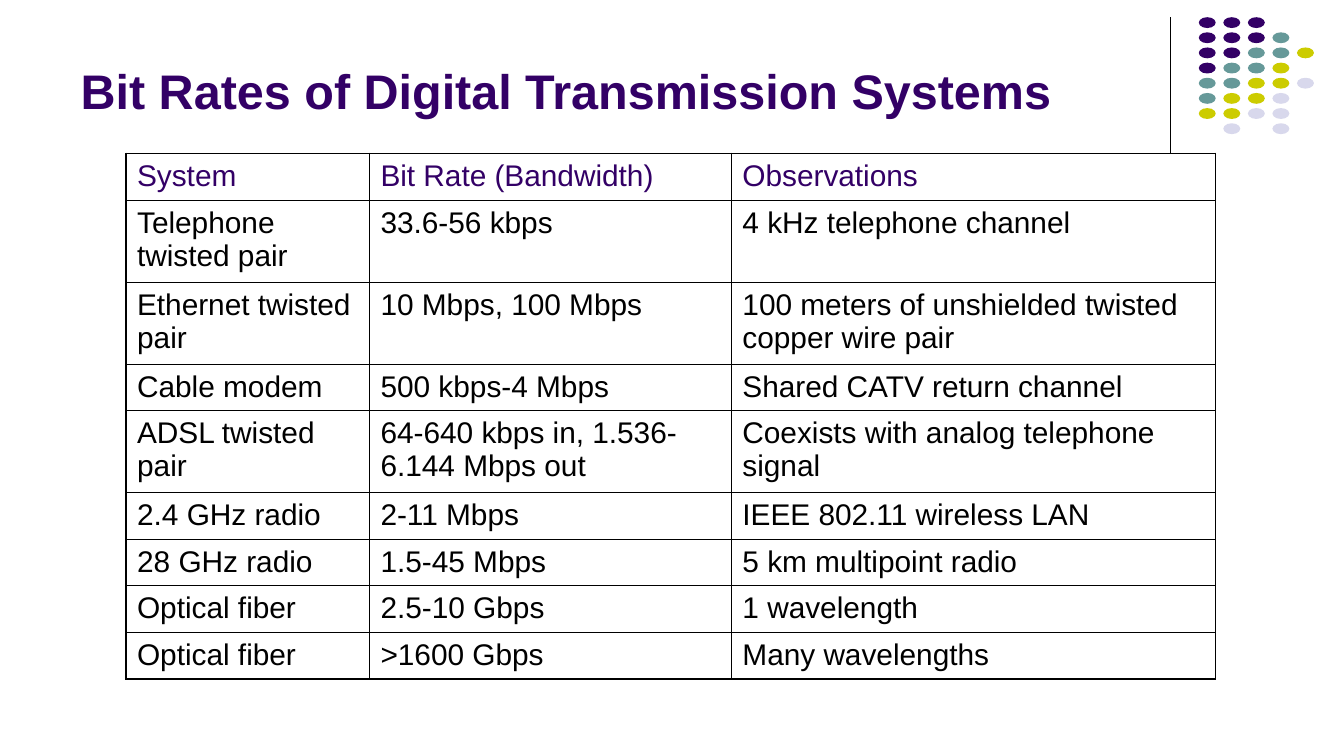
from lxml.etree import SubElement
from pptx import Presentation
from pptx.dml.color import RGBColor
from pptx.enum.shapes import MSO_CONNECTOR as Connector, MSO_SHAPE as Shape
from pptx.enum.text import MSO_ANCHOR as Anchor, MSO_AUTO_SIZE as AutoSize, PP_ALIGN as Align
from pptx.oxml import parse_xml
from pptx.oxml.ns import nsdecls, qn
from pptx.util import Pt

COLORS = {
    "purple": "330066",
    "teal": "669999",
    "olive": "CCCC00",
    "lavender": "D8D8EC",
    "black": "000000",
}
DOT_COLORS = {"P": "purple", "T": "teal", "O": "olive", "L": "lavender"}
DOT_ROWS = ["PPP", "PPPT", "PPTTO", "PTTO", "TTOOL", "TOOL", "OOLL", " L L"]
COLUMN_WIDTHS = [130.4, 193.9, 259.2]
ONE_LINE, TWO_LINES = 25, 43.9
SYSTEMS = [
    (ONE_LINE, "System", "Bit Rate (Bandwidth)", "Observations"),
    (TWO_LINES, "Telephone twisted pair", "33.6-56 kbps", "4 kHz telephone channel"),
    (TWO_LINES, "Ethernet twisted pair", "10 Mbps, 100 Mbps",
     "100 meters of unshielded twisted copper wire pair"),
    (ONE_LINE, "Cable modem", "500 kbps-4 Mbps", "Shared CATV return channel"),
    (TWO_LINES, "ADSL twisted pair", "64-640 kbps in, 1.536-6.144 Mbps out",
     "Coexists with analog telephone signal"),
    (ONE_LINE, "2.4 GHz radio", "2-11 Mbps", "IEEE 802.11 wireless LAN"),
    (ONE_LINE, "28 GHz radio", "1.5-45 Mbps", "5 km multipoint radio"),
    (ONE_LINE, "Optical fiber", "2.5-10 Gbps", "1 wavelength"),
    (ONE_LINE, "Optical fiber", ">1600 Gbps", "Many wavelengths"),
]


class SlideBuilder:
    font_name = "Arial"
    title_size = 26
    body_size = 16
    outer_border = 1.08
    inner_border = 0.45

    def __init__(self, page):
        self.page = page

    def color(self, name):
        return RGBColor.from_string(COLORS[name])

    def style(self, para, size, color, bold=False):
        para.font.name = self.font_name
        para.font.size = Pt(size)
        para.font.bold = bold
        para.font.color.rgb = self.color(color)
        para.alignment = Align.LEFT

    def title(self, text, left, top, width, height):
        box = self.page.shapes.title
        box.left, box.top, box.width, box.height = map(Pt, (left, top, width, height))
        frame = box.text_frame
        frame.text = text
        frame.auto_size = AutoSize.NONE
        frame.word_wrap = True
        frame.vertical_anchor = Anchor.BOTTOM
        self.style(frame.paragraphs[0], self.title_size, "purple", bold=True)

    def line(self, x1, y1, x2, y2, width):
        line = self.page.shapes.add_connector(
            Connector.STRAIGHT, Pt(x1), Pt(y1), Pt(x2), Pt(y2))
        line.line.color.rgb = self.color("black")
        line.line.width = Pt(width)
        SubElement(line._element.spPr, qn("a:effectLst"))

    def dots(self, left, top, step_x, step_y, width, height):
        group = self.page.shapes.add_group_shape()
        for row, codes in enumerate(DOT_ROWS):
            for column, code in enumerate(codes):
                if code == " ":
                    continue
                dot = group.shapes.add_shape(
                    Shape.OVAL, Pt(left + column * step_x), Pt(top + row * step_y),
                    Pt(width), Pt(height))
                dot.shadow.inherit = False
                dot.fill.solid()
                dot.fill.fore_color.rgb = self.color(DOT_COLORS[code])
                dot.line.fill.background()

    def borders(self, cell, outer_sides):
        properties = cell._tc.get_or_add_tcPr()
        for index, side in enumerate("LRTB"):
            width = self.outer_border if side in outer_sides else self.inner_border
            properties.insert(index, parse_xml(
                f'<a:ln{side} {nsdecls("a")} w="{Pt(width)}"><a:solidFill>'
                f'<a:srgbClr val="{COLORS["black"]}"/></a:solidFill></a:ln{side}>'))

    def cell(self, cell, text, color, outer_sides):
        cell.text = text
        cell.margin_left = cell.margin_right = Pt(5.8)
        cell.margin_top = cell.margin_bottom = Pt(3.3)
        cell.fill.background()
        para = cell.text_frame.paragraphs[0]
        para.space_before = Pt(4)
        self.style(para, self.body_size, color)
        self.borders(cell, outer_sides)

    def table(self, left, top, widths, rows):
        heights = [row[0] for row in rows]
        table = self.page.shapes.add_table(
            len(rows), len(widths), Pt(left), Pt(top),
            Pt(sum(widths)), Pt(sum(heights))).table
        table.first_row = table.horz_banding = False
        for column, width in zip(table.columns, widths):
            column.width = Pt(width)
        last_row, last_column = len(rows) - 1, len(widths) - 1
        for row, (height, *texts) in enumerate(rows):
            table.rows[row].height = Pt(height)
            for column, text in enumerate(texts):
                edges = {"L": column == 0, "R": column == last_column,
                         "T": row == 0, "B": row == last_row}
                outer_sides = [side for side, is_outer in edges.items() if is_outer]
                color = "purple" if row == 0 else "black"
                self.cell(table.cell(row, column), text, color, outer_sides)


def main():
    deck = Presentation()
    deck.slide_width, deck.slide_height = Pt(720), Pt(405)
    builder = SlideBuilder(deck.slides.add_slide(deck.slide_layouts[5]))
    builder.line(627.1, 9.2, 627.1, 82.5, 0.75)
    builder.dots(642.2, 9.2, 13.15, 8.12, 9.1, 5.8)
    builder.title("Bit Rates of Digital Transmission Systems", 36, 7.2, 594, 60.5)
    builder.table(67.7, 82.3, COLUMN_WIDTHS, SYSTEMS)
    deck.save("out.pptx")


if __name__ == "__main__":
    main()
